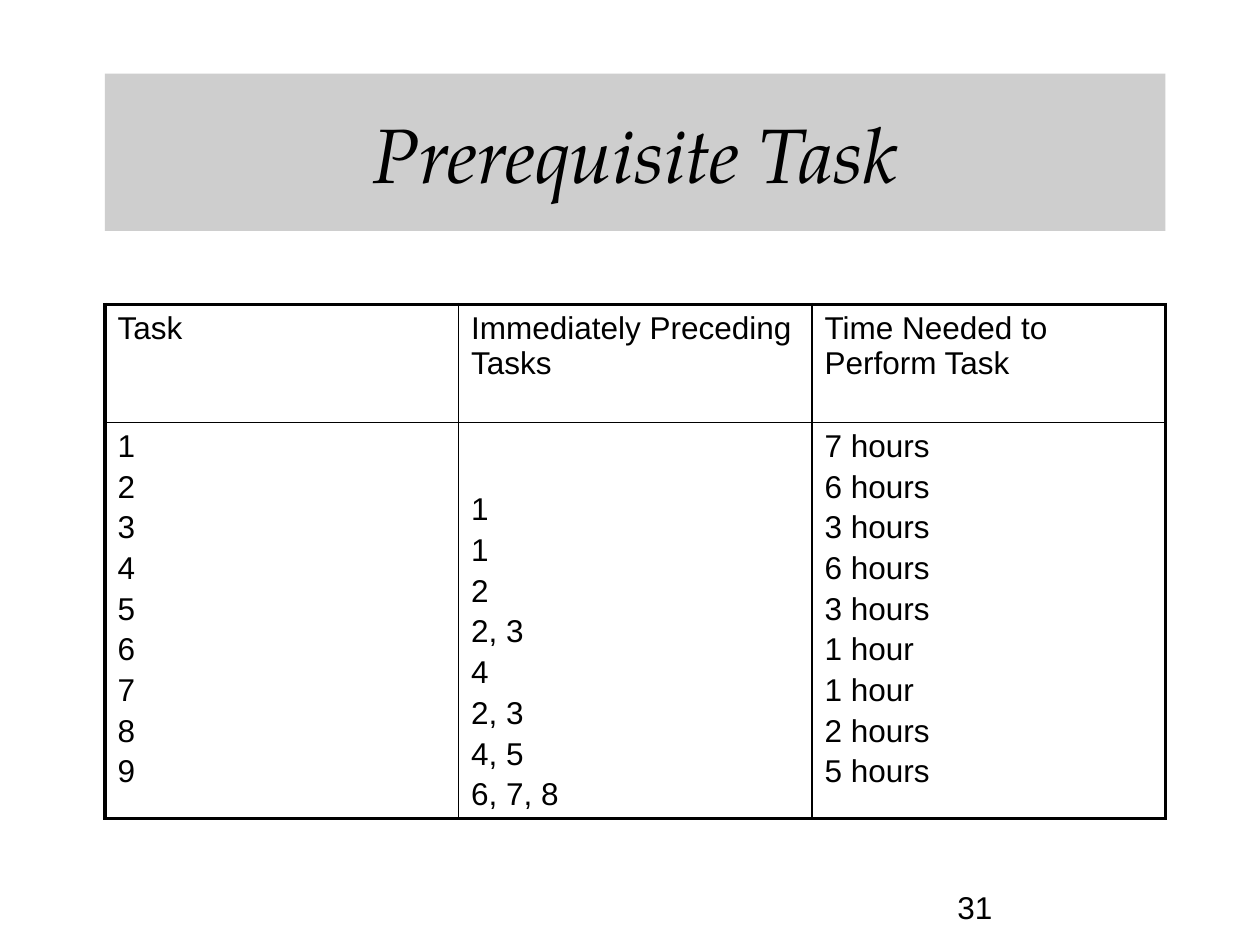
from dataclasses import dataclass

from lxml import etree
from pptx import Presentation
from pptx.dml.color import RGBColor
from pptx.enum.shapes import MSO_SHAPE
from pptx.enum.text import MSO_ANCHOR, PP_ALIGN
from pptx.oxml.ns import qn
from pptx.util import Inches, Pt

RECTANGLE = MSO_SHAPE.RECTANGLE
TOP, MIDDLE, BOTTOM = MSO_ANCHOR.TOP, MSO_ANCHOR.MIDDLE, MSO_ANCHOR.BOTTOM
LEFT, CENTER = PP_ALIGN.LEFT, PP_ALIGN.CENTER
UNITS_PER_INCH = 12


@dataclass(frozen=True)
class Theme:
    """Colours, fonts and sizes shared by the slide."""
    ink: str = "000000"
    band: str = "CECECE"
    title_font: str = "TeX Gyre Pagella"
    body_font: str = "Arial"
    title_size: int = 44
    body_size: int = 18
    paragraph_gap: float = 3.1
    outer_line: float = 2.25
    inner_line: float = 1


@dataclass(frozen=True)
class Area:
    """A rectangle on a grid of twelve units to the inch."""
    left: float
    top: float
    width: float
    height: float

    def lengths(self) -> tuple:
        """Return left, top, width and height as slide lengths."""
        return tuple(map(units, (self.left, self.top, self.width, self.height)))


@dataclass(frozen=True)
class Column:
    """A table column with its heading and the lines listed below it."""
    heading: str
    lines: tuple
    anchor: MSO_ANCHOR = TOP


THEME = Theme()
TITLE_AREA = Area(10, 7, 101, 15)
TABLE_AREA = Area(10, 29, 101, 47.5)
NUMBER_AREA = Area(90, 84, 21, 6)
HEADER_HEIGHT = 11.25
COLUMNS = (
    Column("Task", tuple("123456789")),
    Column("Immediately Preceding Tasks",
           ("1", "1", "2", "2, 3", "4", "2, 3", "4, 5", "6, 7, 8"), BOTTOM),
    Column("Time Needed to Perform Task",
           ("7 hours", "6 hours", "3 hours", "6 hours", "3 hours",
            "1 hour", "1 hour", "2 hours", "5 hours")),
)


def units(count: float) -> int:
    """Convert grid units to a slide length."""
    return Inches(count / UNITS_PER_INCH)


def write(frame, *lines: str, font: str = THEME.body_font, size: int = THEME.body_size,
          italic: bool = False, align: PP_ALIGN = LEFT, gap: float = 0) -> None:
    """Write each line as one formatted paragraph."""
    frame.word_wrap = True
    for index, line in enumerate(lines):
        para = frame.add_paragraph() if index else frame.paragraphs[0]
        para.alignment = align
        para.space_before = Pt(gap if index else 0)
        span = para.add_run()
        span.text = line
        span.font.name = font
        span.font.size = Pt(size)
        span.font.italic = italic
        span.font.color.rgb = RGBColor.from_string(THEME.ink)


def draw_borders(cell, outer_sides: set) -> None:
    """Draw all four borders, heavier on the outer sides."""
    properties = cell._tc.get_or_add_tcPr()
    for side in "LRTB":
        weight = THEME.outer_line if side in outer_sides else THEME.inner_line
        line = etree.SubElement(properties, qn(f"a:ln{side}"), w=str(Pt(weight)))
        fill = etree.SubElement(line, qn("a:solidFill"))
        etree.SubElement(fill, qn("a:srgbClr"), val=THEME.ink)


def draw_title(page, text: str, area: Area) -> None:
    """Draw the title on its grey band."""
    box = page.shapes.add_shape(RECTANGLE, *area.lengths())
    box.shadow.inherit = False
    box.fill.solid()
    box.fill.fore_color.rgb = RGBColor.from_string(THEME.band)
    box.line.fill.background()
    box.text_frame.vertical_anchor = MIDDLE
    write(box.text_frame, text, font=THEME.title_font, size=THEME.title_size,
          italic=True, align=CENTER)


def draw_table(page, columns: tuple, area: Area) -> None:
    """Draw a heading row above one row of listed lines."""
    table = page.shapes.add_table(2, len(columns), *area.lengths()).table
    table.first_row = table.horz_banding = False
    table.rows[0].height = units(HEADER_HEIGHT)
    table.rows[1].height = units(area.height - HEADER_HEIGHT)
    for number, column in enumerate(columns):
        table.columns[number].width = units(area.width / len(columns))
        edges = {0: {"L"}, len(columns) - 1: {"R"}}.get(number, set())
        contents = (((column.heading,), TOP, "T"), (column.lines, column.anchor, "B"))
        for row, (lines, anchor, edge) in enumerate(contents):
            cell = table.cell(row, number)
            draw_borders(cell, edges | {edge})
            cell.fill.background()
            cell.vertical_anchor = anchor
            write(cell.text_frame, *lines, gap=THEME.paragraph_gap)


def draw_page_number(page, number: str, area: Area) -> None:
    """Draw the page number."""
    box = page.shapes.add_textbox(*area.lengths())
    write(box.text_frame, number)


def main() -> None:
    """Build and save the slide."""
    deck = Presentation()
    deck.slide_width, deck.slide_height = Inches(10), Inches(7.5)
    page = deck.slides.add_slide(deck.slide_layouts[6])
    draw_page_number(page, "31", NUMBER_AREA)
    draw_table(page, COLUMNS, TABLE_AREA)
    draw_title(page, "Prerequisite Task", TITLE_AREA)
    deck.save("out.pptx")


if __name__ == "__main__":
    main()
